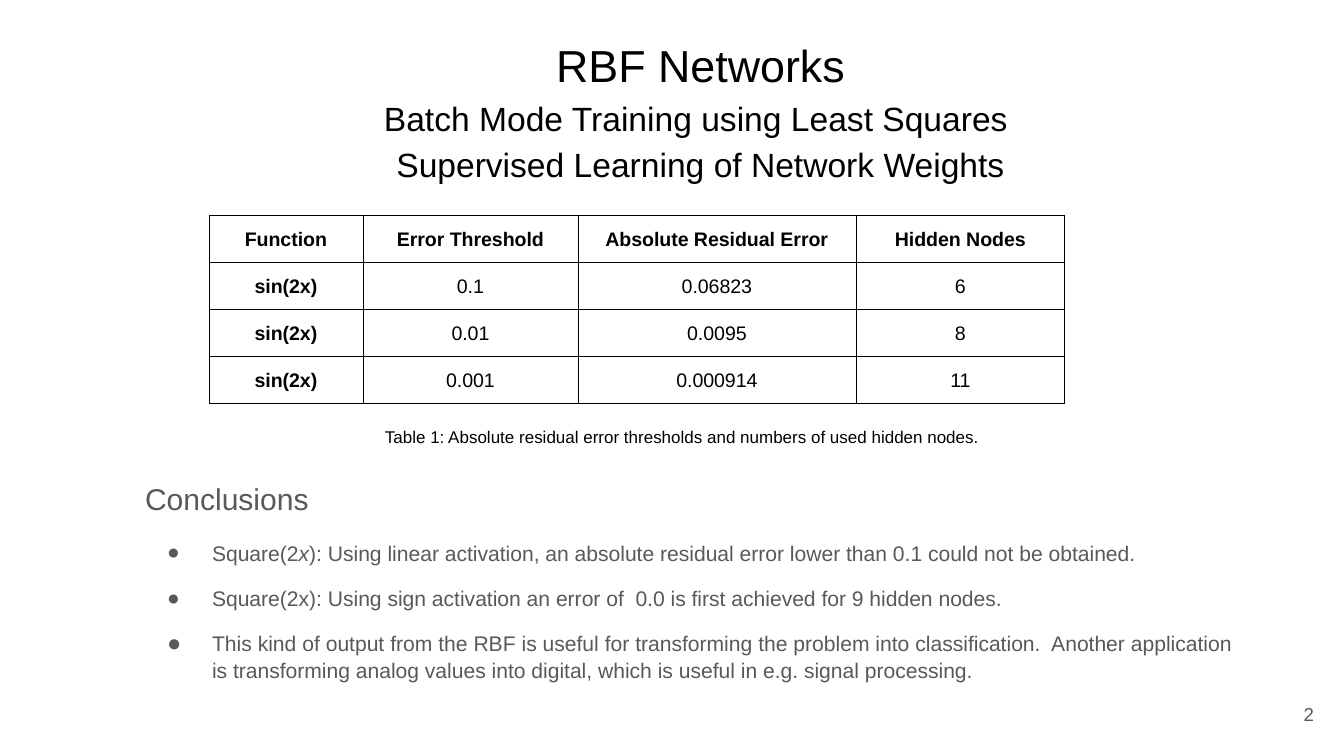
from dataclasses import dataclass

from lxml import etree
from pptx import Presentation
from pptx.dml.color import RGBColor
from pptx.enum.text import MSO_ANCHOR, MSO_AUTO_SIZE, PP_ALIGN
from pptx.oxml.ns import qn
from pptx.util import Pt

EMU_PER_PX = 914400 / 134.4
LEFT, CENTER, RIGHT, JUSTIFY = PP_ALIGN.LEFT, PP_ALIGN.CENTER, PP_ALIGN.RIGHT, PP_ALIGN.JUSTIFY
TOP, MIDDLE = MSO_ANCHOR.TOP, MSO_ANCHOR.MIDDLE
NO_AUTOFIT = MSO_AUTO_SIZE.NONE


@dataclass(frozen=True)
class Theme:
    font: str = "Arial"
    ink: str = "000000"
    muted: str = "595959"
    paper: str = "FFFFFF"
    title: float = 24
    subtitle: float = 18
    heading: float = 16.1
    bullet: float = 11.3
    cell: float = 10.5
    page: float = 10
    caption: float = 9.1
    border: float = 0.5


THEME = Theme()

TITLE_LINES = [
    ("RBF Networks", THEME.title),
    ("Batch Mode Training using Least Squares ", THEME.subtitle),
    ("Supervised Learning of Network Weights", THEME.subtitle),
]
RESULTS = [
    ["Function", "Error Threshold", "Absolute Residual Error", "Hidden Nodes"],
    ["sin(2x)", "0.1", "0.06823", "6"],
    ["sin(2x)", "0.01", "0.0095", "8"],
    ["sin(2x)", "0.001", "0.000914", "11"],
]
COLUMN_WIDTHS = [154, 215, 278, 209]
CAPTION = "Table 1: Absolute residual error thresholds and numbers of used hidden nodes."
CONCLUSIONS = [
    ([("Square(2", False), ("x", True),
      ("): Using linear activation, an absolute residual error lower than 0.1 "
       "could not be obtained.", False)], 12, 100),
    ([("Square(2x): Using sign activation an error of  0.0 is first achieved "
       "for 9 hidden nodes.", False)], 10, 100),
    ([("This kind of output from the RBF is useful for transforming the problem into "
       "classification.  Another application is transforming analog values into digital, "
       "which is useful in e.g. signal processing.", False)], 10, 112),
]


def px(length):
    return round(length * EMU_PER_PX)


def add_run(paragraph, text, size, color, bold=False, italic=False):
    run = paragraph.add_run()
    run.text = text
    font = run.font
    font.name, font.size = THEME.font, Pt(size)
    font.bold, font.italic = bold, italic
    font.color.rgb = RGBColor.from_string(color)


def format_paragraph(paragraph, align, line_spacing=1.0, before=0):
    paragraph.alignment = align
    paragraph.line_spacing = line_spacing
    paragraph.space_before = Pt(before)
    paragraph.space_after = Pt(0)


def prepare_frame(holder, box, anchor=TOP):
    holder.left, holder.top, holder.width, holder.height = map(px, box)
    frame = holder.text_frame
    frame.word_wrap = True
    frame.auto_size = NO_AUTOFIT
    frame.vertical_anchor = anchor
    frame.margin_left = frame.margin_right = px(13)
    frame.margin_top = frame.margin_bottom = px(13)
    return frame


def set_indent(paragraph, margin, indent):
    properties = paragraph._p.get_or_add_pPr()
    properties.set("marL", str(px(margin)))
    properties.set("indent", str(px(indent)))
    return properties


def set_bullet(paragraph, size_percent):
    properties = set_indent(paragraph, 67, -45)
    color = etree.SubElement(properties, qn("a:buClr"))
    etree.SubElement(color, qn("a:srgbClr"), val=THEME.muted)
    etree.SubElement(properties, qn("a:buSzPct"), val=str(size_percent * 1000))
    etree.SubElement(properties, qn("a:buFont"), typeface=THEME.font)
    etree.SubElement(properties, qn("a:buChar"), char="●")


def fill_title(title):
    frame = prepare_frame(title, (132, 17, 1137, 238))
    for index, (line, size) in enumerate(TITLE_LINES):
        paragraph = frame.add_paragraph() if index else frame.paragraphs[0]
        format_paragraph(paragraph, CENTER, 1.15)
        add_run(paragraph, line, size, THEME.ink)


def fill_conclusions(body):
    frame = prepare_frame(body, (132, 462, 1113, 257))
    heading = frame.paragraphs[0]
    format_paragraph(heading, LEFT, 1.15)
    etree.SubElement(set_indent(heading, 0, 0), qn("a:buNone"))
    add_run(heading, "Conclusions", THEME.heading, THEME.muted)
    for pieces, before, bullet_size in CONCLUSIONS:
        paragraph = frame.add_paragraph()
        format_paragraph(paragraph, JUSTIFY, 1.05, before)
        set_bullet(paragraph, bullet_size)
        for text, italic in pieces:
            add_run(paragraph, text, THEME.bullet, THEME.muted, italic=italic)


def add_label(slide, box, text, size, color, align=LEFT, anchor=TOP):
    label = slide.shapes.add_textbox(*map(px, box))
    paragraph = prepare_frame(label, box, anchor).paragraphs[0]
    format_paragraph(paragraph, align)
    add_run(paragraph, text, size, color)


def set_borders(cell):
    properties = cell._tc.get_or_add_tcPr()
    for position, side in enumerate(("a:lnL", "a:lnR", "a:lnT", "a:lnB")):
        line = etree.Element(qn(side), w=str(Pt(THEME.border)))
        fill = etree.SubElement(line, qn("a:solidFill"))
        etree.SubElement(fill, qn("a:srgbClr"), val=THEME.ink)
        properties.insert(position, line)


def format_cell(cell, text, bold):
    cell.fill.solid()
    cell.fill.fore_color.rgb = RGBColor.from_string(THEME.paper)
    set_borders(cell)
    cell.margin_left = cell.margin_right = cell.margin_bottom = 0
    cell.margin_top = px(16)
    paragraph = cell.text_frame.paragraphs[0]
    format_paragraph(paragraph, CENTER, 0.88)
    add_run(paragraph, text, THEME.cell, THEME.ink, bold)


def add_results_table(slide):
    box = (209, 215, sum(COLUMN_WIDTHS), 189)
    table = slide.shapes.add_table(len(RESULTS), len(COLUMN_WIDTHS), *map(px, box)).table
    table.first_row = table.horz_banding = False
    for column, width in zip(table.columns, COLUMN_WIDTHS):
        column.width = px(width)
    for row, values in enumerate(RESULTS):
        for column, value in enumerate(values):
            format_cell(table.cell(row, column), value, row == 0 or column == 0)


def main():
    presentation = Presentation()
    presentation.slide_width, presentation.slide_height = px(1344), px(756)
    slide = presentation.slides.add_slide(presentation.slide_layouts[1])
    fill_title(slide.shapes.title)
    fill_conclusions(slide.placeholders[1])
    add_results_table(slide)
    add_label(slide, (372, 414, 656, 48), CAPTION, THEME.caption, THEME.ink)
    add_label(slide, (1246, 685, 81, 58), "2", THEME.page, THEME.muted, RIGHT, MIDDLE)
    presentation.save("out.pptx")


if __name__ == "__main__":
    main()
